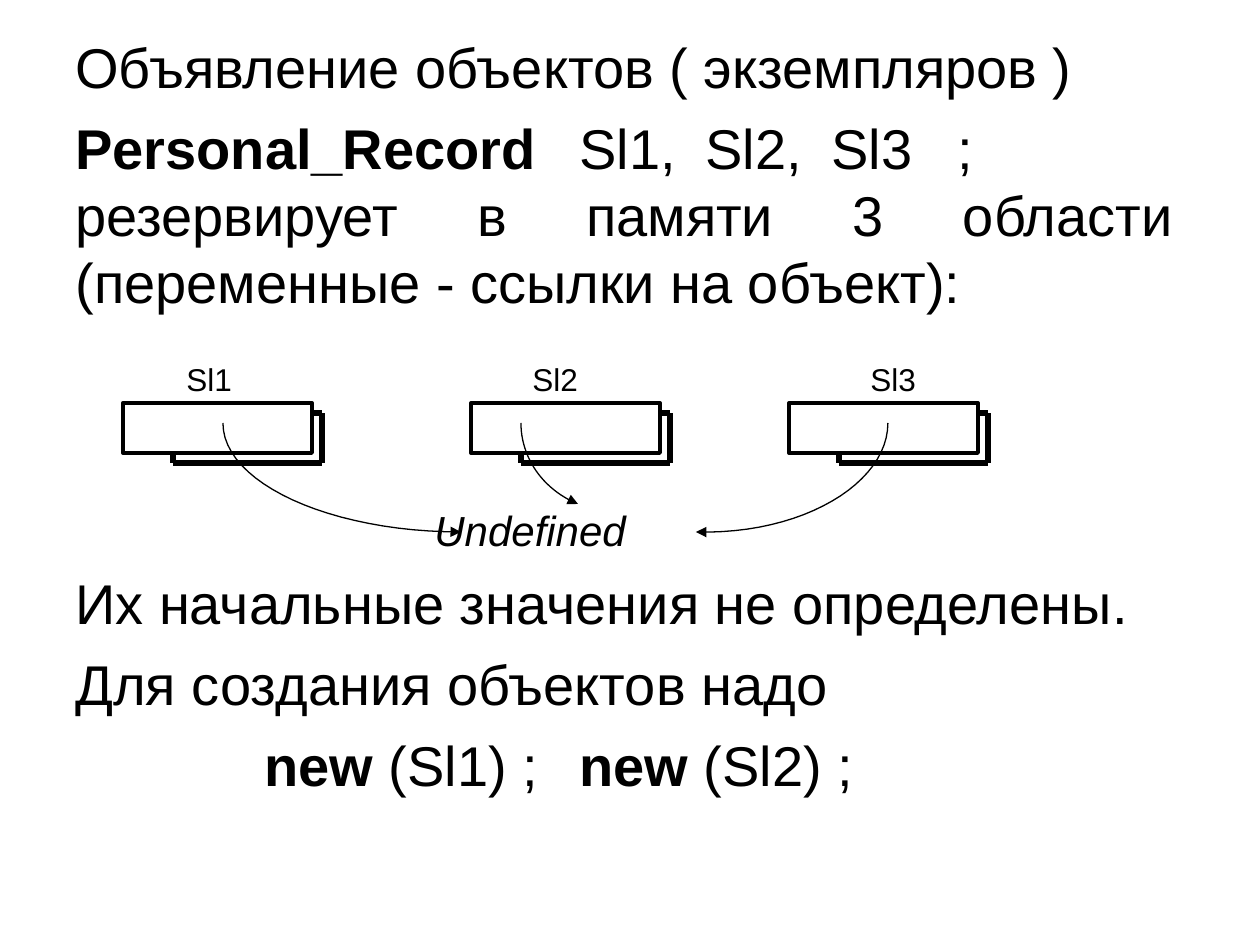
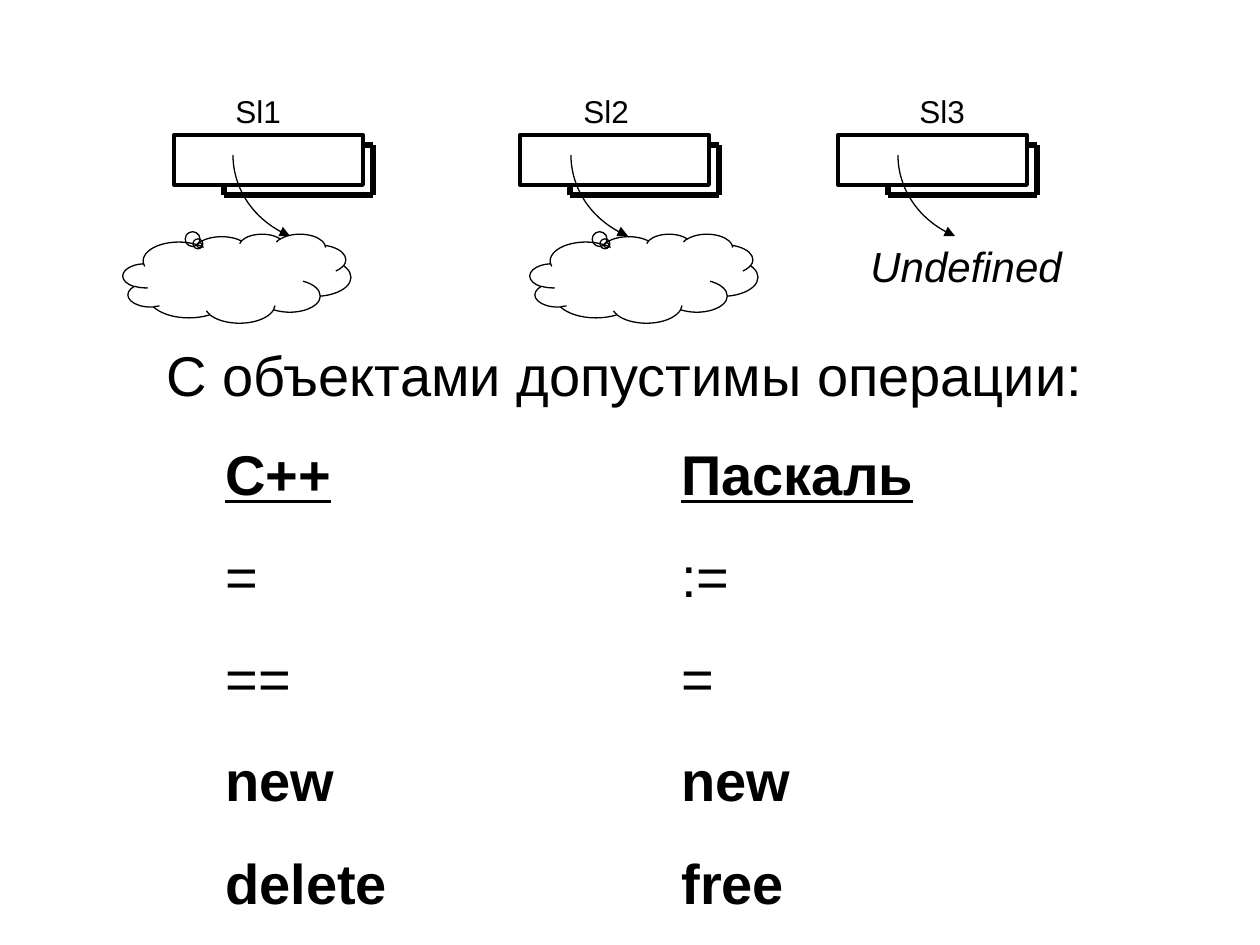
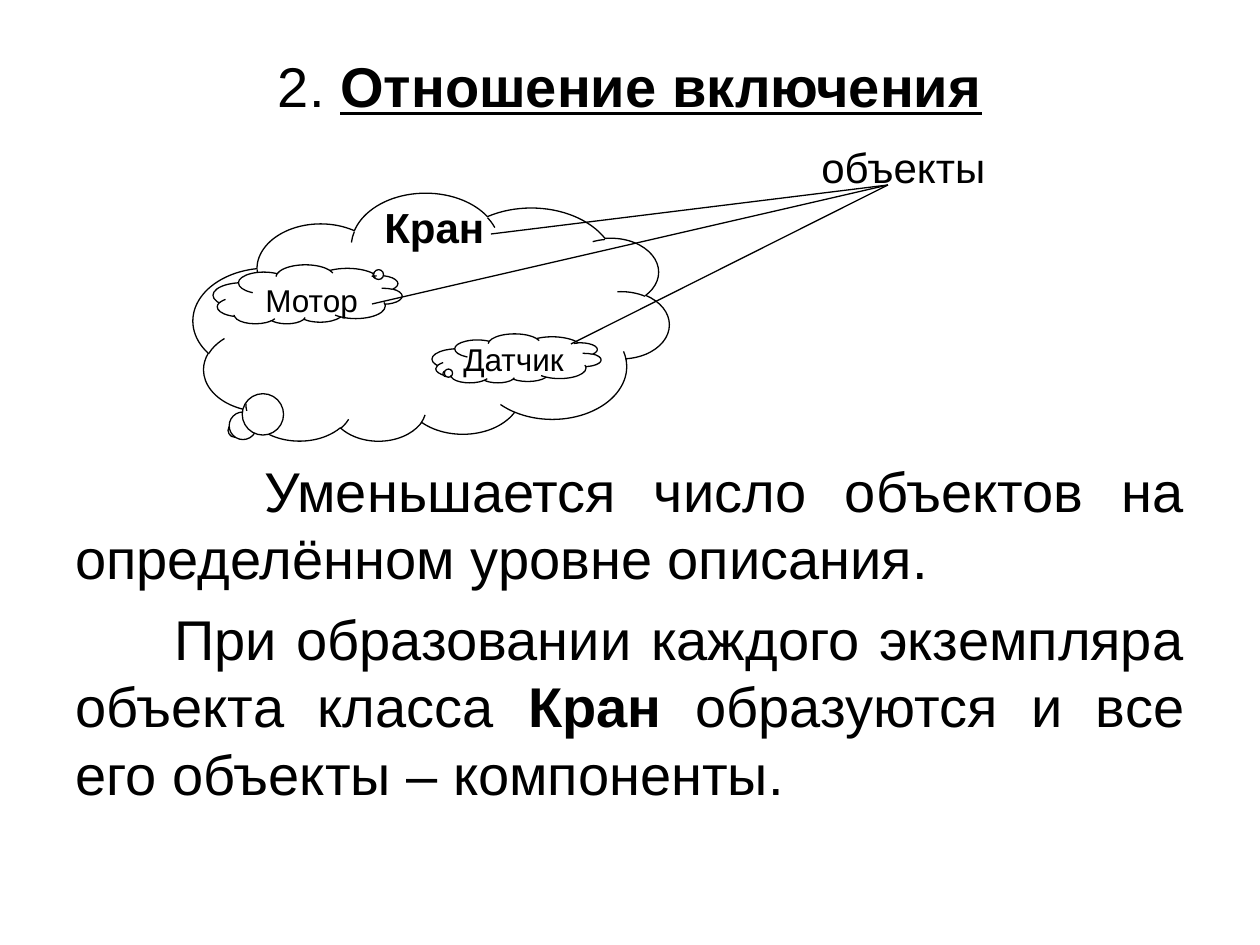
from lxml import etree
from pptx import Presentation, util as u
from pptx.dml.color import RGBColor
from pptx.enum import shapes, text
from pptx.oxml import ns

PX = 914400 // 126
FONT, INK, PAPER = "Arial", "000000", "FFFFFF"
HAIRLINE, FRAME, EDGE = 0.74, 2.24, 3
BOX_WIDTH, BOX_HEIGHT = 189, 50
JUSTIFY, CENTER = text.PP_ALIGN.JUSTIFY, text.PP_ALIGN.CENTER


def color(value):
    """Turn a hex string into a colour."""
    return RGBColor.from_string(value)


def write(para, words, size=32, bold=False, italic=False, underline=False):
    """Add one formatted span to a paragraph."""
    span = para.add_run()
    span.text = words
    font = span.font
    font.name, font.size, font.color.rgb = FONT, u.Pt(size), color(INK)
    font.bold, font.italic, font.underline = bold, italic, underline


deck = Presentation()
deck.slide_width, deck.slide_height = 1260 * PX, 945 * PX
declaration, operations, inclusion = [
    deck.slides.add_slide(deck.slide_layouts[6]) for _ in range(3)]

BOLD = {"bold": True}
HEAD = {"bold": True, "underline": True}
ITALIC = {"size": 24, "italic": True}
SMALL = {"size": 18}

# Main text: page, frame, paragraphs of (paragraph format, spans)
bodies = [
    (declaration, (63, 26, 1123, 853), [
        ({}, [("Объявление объектов ( экземпляров )", {})]),
        ({"align": JUSTIFY, "tabs": (587, 778, 969, 1078)}, [
            ("Personal_Record", BOLD), ("\tSl1,\tSl2,\tSl3\t;", {}), ("\n", {}),
            ("резервирует в памяти 3 области (переменные - ссылки на объект):", {})]),
        ({"before": 108, "indent": 359}, [("Undefined", ITALIC)]),
        ({"align": JUSTIFY}, [("Их начальные значения не определены.", {})]),
        ({"align": JUSTIFY}, [("Для создания объектов надо", {})]),
        ({"indent": 189, "tabs": (603,)}, [
            ("new", BOLD), (" (Sl1) ;\t", {}), ("new", BOLD), (" (Sl2) ;", {})]),
    ]),
    (inclusion, (63, 45, 1134, 799), [
        ({"align": CENTER}, [("2. ", {}), ("Отношение включения", HEAD)]),
        ({"align": JUSTIFY, "before": 193, "indent": 189}, [
            ("Уменьшается число объектов на определённом уровне описания.", {})]),
        ({"align": JUSTIFY, "indent": 99}, [
            ("При образовании каждого экземпляра объекта класса ", {}), ("Кран", BOLD),
            (" образуются и все его объекты – компоненты.", {})]),
    ]),
]

# Labels grow with their text
labels = [
    (operations, (858, 234, 238, 63),
     [({"align": JUSTIFY, "before": 6}, [("Undefined", ITALIC)])]),
    (operations, (154, 334, 1002, 81),
     [({"before": 20}, [("С объектами допустимы операции:", {})])]),
    (inclusion, (253, 275, 129, 50), [({"before": 11.2}, [("Мотор", SMALL)])]),
    (inclusion, (451, 334, 129, 50), [({"before": 11.2}, [("Датчик", SMALL)])]),
    (inclusion, (372, 195, 159, 63),
     [({"before": 15}, [("Кран", {"size": 24, "bold": True})])]),
    (inclusion, (809, 135, 238, 63), [({"before": 15}, [("объекты", {"size": 24})])]),
]
for left, width, words in [(213, 189, ("С++", "=", "==", "new", "delete")),
                           (669, 258, ("Паскаль", ":=", "=", "new", "free"))]:
    formats = (HEAD, {}, {}, BOLD, BOLD)
    labels.append((operations, (left, 433, width, 489), [
        ({"before": 20}, [pair]) for pair in zip(words, formats)]))

# Variables: a box with a raised edge and a name above it
strokes = []
variables = [
    (declaration, 403, ((123, 174, 79), (471, 520, 100), (789, 858, 89))),
    (operations, 135, ((174, 223, 79), (520, 571, 100), (838, 907, 89))),
]
for page, top, columns in variables:
    for number, (left, name_left, name_width) in enumerate(columns, 1):
        box = page.shapes.add_shape(
            shapes.MSO_SHAPE.RECTANGLE, left * PX, top * PX, BOX_WIDTH * PX, BOX_HEIGHT * PX)
        box.shadow.inherit = False
        box.fill.background()
        box.line.color.rgb, box.line.width = color(INK), u.Pt(FRAME)
        inner, right, bottom = left + 50, left + BOX_WIDTH, top + BOX_HEIGHT
        for ends in [(inner, bottom, inner, bottom + 10),
                     (inner, bottom + 10, right + 10, bottom + 10),
                     (right, top + 10, right + 10, top + 10),
                     (right + 10, bottom + 10, right + 10, top + 10)]:
            strokes.append((page, ends, EDGE))
        labels.append((page, (name_left, top - 49, name_width, 50),
                       [({"before": 11.2}, [(f"Sl{number}", SMALL)])]))

# Clouds: page, frame, rotation, tail
clouds = [
    (operations, (123, 234, 228, 89), 0, (-0.164, -0.373)),
    (operations, (530, 234, 228, 89), 0, (-0.164, -0.373)),
    (inclusion, (193, 194, 476, 248), 180, (0.412, -0.453)),
    (inclusion, (213, 265, 189, 59), 180, (-0.368, 0.331)),
    (inclusion, (432, 334, 169, 49), 180, (0.42, -0.311)),
]
for page, frame, turn, tail in clouds:
    cloud = page.shapes.add_shape(
        shapes.MSO_SHAPE.CLOUD_CALLOUT, *[value * PX for value in frame])
    cloud.shadow.inherit = False
    cloud.rotation = turn
    cloud.adjustments[0], cloud.adjustments[1] = tail
    if page is inclusion:
        cloud.fill.solid()
        cloud.fill.fore_color.rgb = color(PAPER)
    else:
        cloud.fill.background()
    cloud.line.color.rgb, cloud.line.width = color(INK), u.Pt(HAIRLINE)

# Curved arrows: Bezier points relative to the start, tip first
SHORT = ((57, 81), (21, 66), (0, 34), (0, 0))
arrows = [
    (declaration, (223, 423), ((238, 109), (107, 109), (0, 60), (0, 0))),
    (declaration, (888, 423), ((-192, 109), (-85, 112), (0, 60), (0, 0))),
    (declaration, (521, 423), SHORT),
    (operations, (233, 155), SHORT),
    (operations, (571, 155), SHORT),
    (operations, (898, 155), SHORT),
]
for page, start, controls in arrows:
    points = []
    for step in range(25):
        t = step / 24
        weights = ((1 - t) ** 3, 3 * t * (1 - t) ** 2, 3 * t * t * (1 - t), t ** 3)
        points.append(tuple(
            round((start[axis] + sum(w * c[axis] for w, c in zip(weights, controls))) * PX)
            for axis in (0, 1)))
    builder = page.shapes.build_freeform(*points[0])
    builder.add_line_segments(points[1:], close=False)
    arrow = builder.convert_to_shape()
    arrow.shadow.inherit = False
    arrow.fill.background()
    arrow.line.color.rgb, arrow.line.width = color(INK), u.Pt(HAIRLINE)
    etree.SubElement(arrow.line._get_or_add_ln(), ns.qn("a:headEnd"), type="triangle")

for left, top in [(491, 234), (372, 304), (571, 344)]:
    strokes.append((inclusion, (left, top, 888, 185), HAIRLINE))

for page, frame, paragraphs in bodies + labels:
    area = page.shapes.add_textbox(*[value * PX for value in frame]).text_frame
    area.word_wrap = True
    grows = (page, frame, paragraphs) in labels
    area.auto_size = (text.MSO_AUTO_SIZE.SHAPE_TO_FIT_TEXT if grows
                      else text.MSO_AUTO_SIZE.NONE)
    for index, (layout, spans) in enumerate(paragraphs):
        para = area.add_paragraph() if index else area.paragraphs[0]
        para.alignment = layout.get("align", text.PP_ALIGN.LEFT)
        para.space_before = u.Pt(layout.get("before", 8))
        properties = para._p.get_or_add_pPr()
        properties.set("marL", "0")
        properties.set("indent", str(layout.get("indent", 0) * PX))
        if "tabs" in layout:
            stops = etree.SubElement(properties, ns.qn("a:tabLst"))
            for stop in layout["tabs"]:
                etree.SubElement(stops, ns.qn("a:tab"), pos=str(stop * PX), algn="l")
        for words, style in spans:
            if words == "\n":
                para.add_line_break()
            else:
                write(para, words, **style)

for page, ends, width in strokes:
    stroke = page.shapes.add_connector(
        shapes.MSO_CONNECTOR.STRAIGHT, *[value * PX for value in ends])
    stroke.line.color.rgb, stroke.line.width = color(INK), u.Pt(width)
    etree.SubElement(stroke._element.spPr, ns.qn("a:effectLst"))

deck.save("out.pptx")
